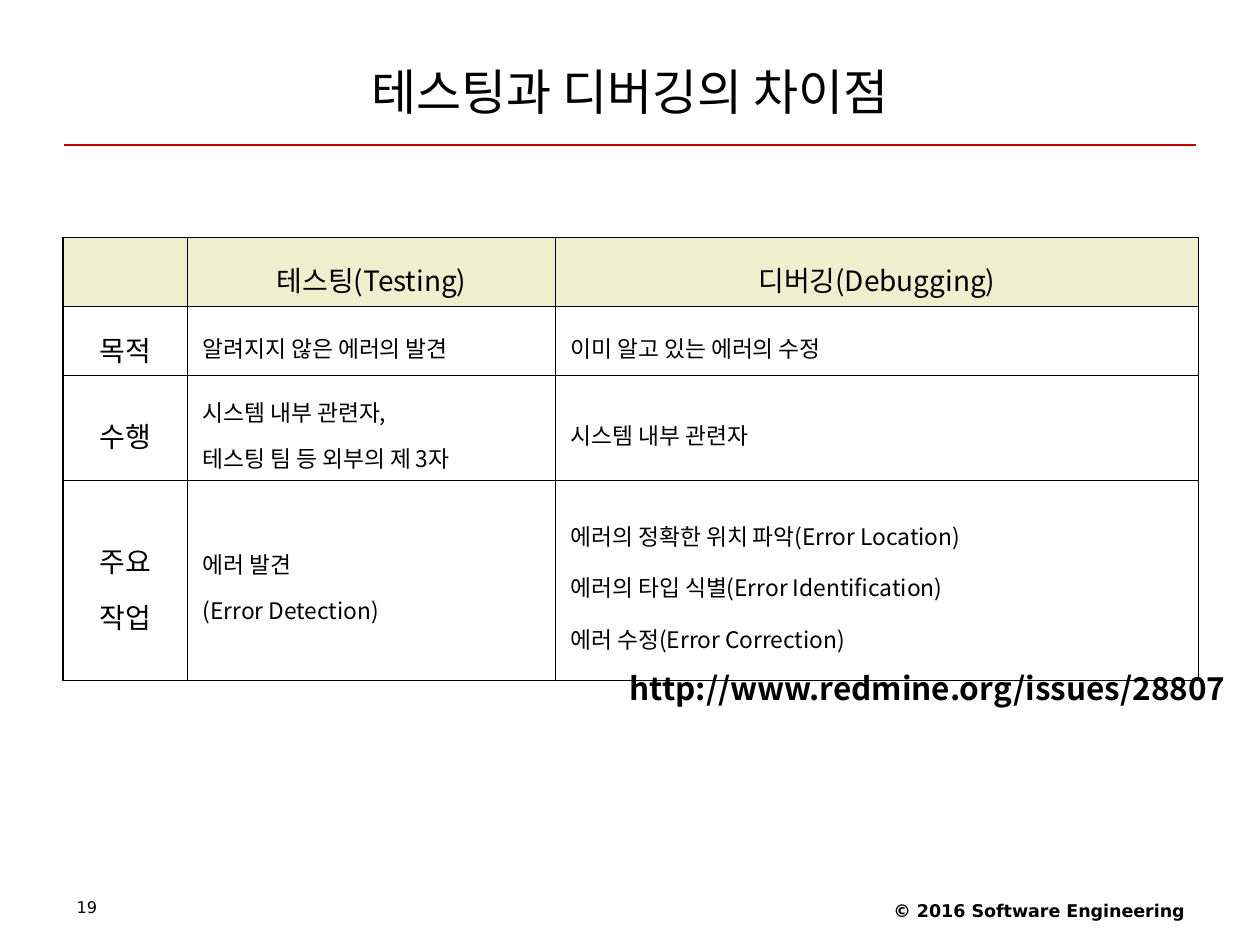
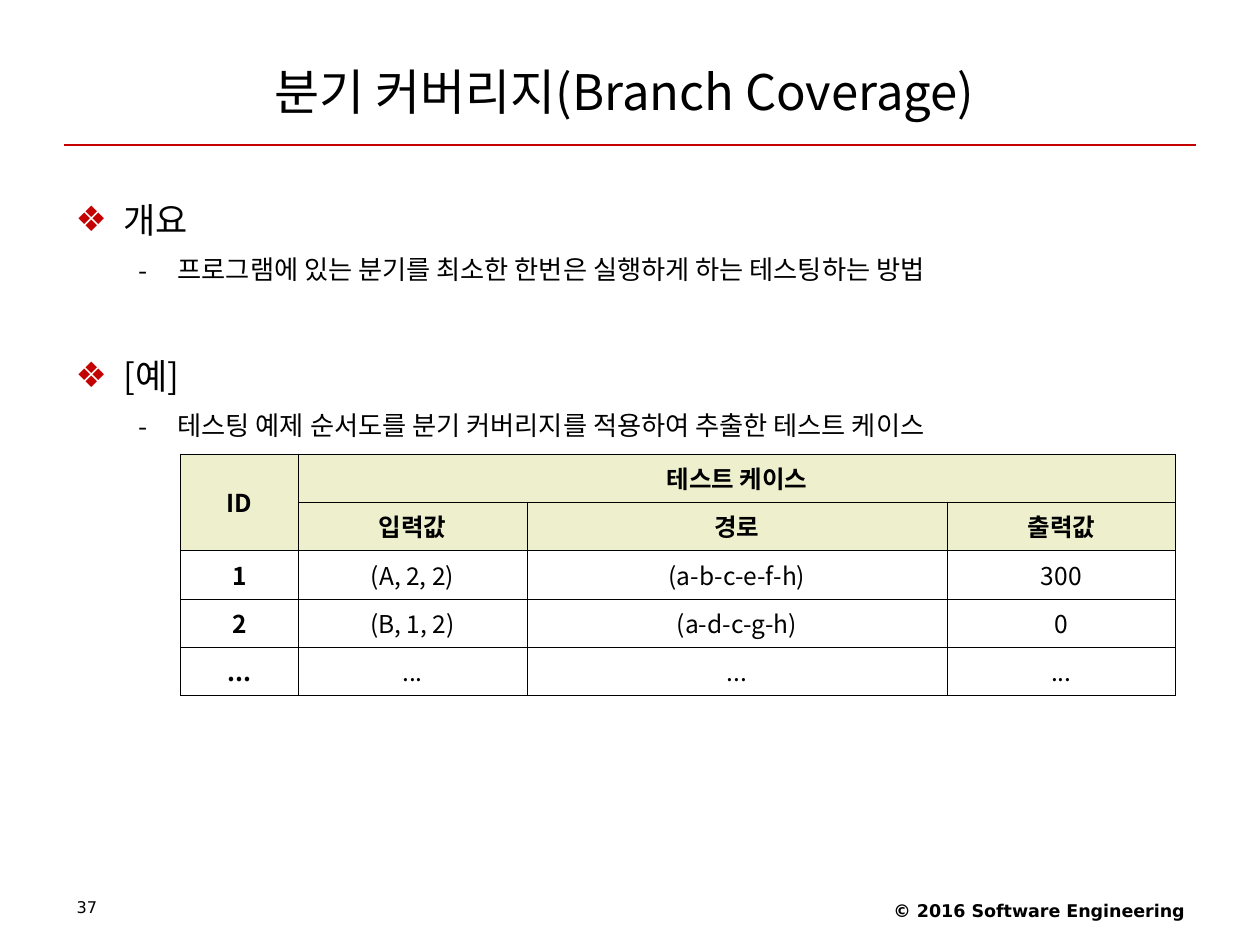
from copy import deepcopy

from lxml.etree import SubElement
from pptx import Presentation
from pptx.dml.color import RGBColor
from pptx.enum.shapes import MSO_CONNECTOR as Connector
from pptx.enum.text import MSO_ANCHOR as Anchor, MSO_AUTO_SIZE as AutoSize, PP_ALIGN as Align
from pptx.oxml import parse_xml
from pptx.oxml.ns import nsdecls, qn
from pptx.util import Inches, Pt

# Content: each table cell is a list of paragraphs
DIFF_TITLE = "테스팅과 디버깅의 차이점"
DIFF_ROWS = [
    [[], ["테스팅(Testing)"], ["디버깅(Debugging)"]],
    [["목적"], ["알려지지 않은 에러의 발견"], ["이미 알고 있는 에러의 수정"]],
    [["수행"], ["시스템 내부 관련자,\n테스팅 팀 등 외부의 제 3자"], ["시스템 내부 관련자"]],
    [["주요\n작업"], ["에러 발견\n(Error Detection)"],
     ["에러의 정확한 위치 파악(Error Location)",
      "에러의 타입 식별(Error Identification)",
      "에러 수정(Error Correction)"]],
]
ISSUE_URL = "http://www.redmine.org/issues/28807"

BRANCH_TITLE = "분기 커버리지(Branch Coverage) "
BRANCH_OUTLINE = [
    ("개요", "프로그램에 있는 분기를 최소한 한번은 실행하게 하는 테스팅하는 방법"),
    ("[예]", "테스팅 예제 순서도를 분기 커버리지를 적용하여 추출한 테스트 케이스"),
]
CASE_ROWS = [
    [["ID"], ["테스트 케이스"], [], []],
    [[], ["입력값"], ["경로"], ["출력값"]],
    [["1"], ["(A, 2, 2)"], ["(a-b-c-e-f-h)"], ["300"]],
    [["2"], ["(B, 1, 2)"], ["(a-d-c-g-h)"], ["0"]],
    [["..."]] * 4,
]
COPYRIGHT = "© 2016 Software Engineering"

# Shared style
BLACK = RGBColor(0x00, 0x00, 0x00)
RED = RGBColor(0xC4, 0x00, 0x00)
HEADER = RGBColor(0xEE, 0xEF, 0xCD)
BODY_FONT, FOOT_FONT = "Noto Sans CJK KR", "DejaVu Sans"
W, H, MARGIN = 10, 7.5, 0.5


def format_paragraph(p, size, font=BODY_FONT, bold=False, align=Align.LEFT,
                     spacing=1.0, before=0):
    p.alignment, p.line_spacing, p.space_before = align, spacing, Pt(before)
    for r in p.runs:
        r.font.size, r.font.name, r.font.bold = Pt(size), font, bold
        r.font.color.rgb = BLACK
        SubElement(r.font._element, qn("a:ea"), typeface=font)
    # Line breaks take the size of the text around them
    for br in p._p.findall(qn("a:br")):
        br.append(deepcopy(p.runs[0].font._element))


def add_text(s, text, box, size, wrap=True, **style):
    sp = s.shapes.add_textbox(*map(Inches, box))
    tf = sp.text_frame
    tf.word_wrap = wrap
    tf.text = text
    format_paragraph(tf.paragraphs[0], size, **style)


def set_bullet(p, char, color, font, left, hang):
    pPr = p._p.get_or_add_pPr()
    pPr.set("marL", str(Inches(left)))
    pPr.set("indent", str(-Inches(hang)))
    color_el = SubElement(pPr, qn("a:buClr"))
    SubElement(color_el, qn("a:srgbClr"), val=str(color))
    SubElement(pPr, qn("a:buFont"), typeface=font)
    SubElement(pPr, qn("a:buChar"), char=char)


def set_borders(cell, widths):
    tcPr = cell._tc.get_or_add_tcPr()
    for i, (side, width) in enumerate(zip("LRTB", widths)):
        tcPr.insert(i, parse_xml(
            f'<a:ln{side} {nsdecls("a")} w="{int(Pt(width))}"><a:solidFill>'
            f'<a:srgbClr val="{BLACK}"/></a:solidFill></a:ln{side}>'))


def add_grid(s, rows, left, top, cols, heights, header_rows, thin, thick, style):
    """Draw a table; left and bottom edges are thick, style(row, col) formats a cell."""
    nr, nc = len(rows), len(cols)
    frame = s.shapes.add_table(nr, nc, *map(Inches, (left, top, sum(cols), sum(heights))))
    table = frame.table
    for col, width in zip(table.columns, cols):
        col.width = Inches(width)
    for row, height in zip(table.rows, heights):
        row.height = Inches(height)
    for i, row in enumerate(rows):
        for j, lines in enumerate(row):
            cell = table.cell(i, j)
            cell.vertical_anchor = Anchor.MIDDLE
            cell.margin_left = cell.margin_right = Inches(0.12)
            if i < header_rows:
                cell.fill.solid()
                cell.fill.fore_color.rgb = HEADER
            else:
                cell.fill.background()
            set_borders(cell, [thick if j == 0 else thin, thin, thin,
                               thick if i == nr - 1 else thin])
            tf = cell.text_frame
            for k, line in enumerate(lines):
                p = tf.add_paragraph() if k else tf.paragraphs[0]
                p.text = line
                format_paragraph(p, before=3.3 if k else 0, **style(i, j))
    return table


def add_slide(prs, layout, title, number):
    s = prs.slides.add_slide(prs.slide_layouts[layout])
    # Title and the rule below it
    sp = s.shapes.title
    sp.left, sp.top, sp.width, sp.height = map(Inches, (MARGIN, 0.3, W - 2 * MARGIN, 0.85))
    tf = sp.text_frame
    tf.text = title
    tf.vertical_anchor, tf.auto_size = Anchor.MIDDLE, AutoSize.NONE
    format_paragraph(tf.paragraphs[0], 28, align=Align.CENTER)
    rule = s.shapes.add_connector(Connector.STRAIGHT, *map(Inches, (0.51, 1.15, W - 0.51, 1.15)))
    rule.line.color.rgb, rule.line.width = RED, Pt(0.75)
    SubElement(rule._element.spPr, qn("a:effectLst"))
    # Footer
    add_text(s, COPYRIGHT, (6.33, 7.09, 3.17, 0.29), 10, font=FOOT_FONT,
             bold=True, align=Align.RIGHT)
    add_text(s, str(number), (0.51, 7.09, 2.33, 0.28), 9.2, font=FOOT_FONT, spacing=0.9)
    return s


def diff_style(i, j):
    if i == 0 or j == 0:
        return dict(size=16, align=Align.CENTER, spacing=1.4)
    return dict(size=13, spacing=1.4)


def case_style(i, j):
    return dict(size=14, align=Align.CENTER, bold=i < 2 or j == 0)


def add_difference_slide(prs):
    s = add_slide(prs, 5, DIFF_TITLE, 19)
    add_grid(s, DIFF_ROWS, MARGIN, 1.88, [0.99, 2.92, 5.1], [0.55, 0.55, 0.83, 1.59],
             header_rows=1, thin=0.45, thick=1.08, style=diff_style)
    add_text(s, ISSUE_URL, (4.9, 5.26, 4.95, 0.4), 18, wrap=False, bold=True)


def add_branch_slide(prs):
    s = add_slide(prs, 1, BRANCH_TITLE, 37)
    # Outline of headings and details
    body = s.placeholders[1]
    body.left, body.top, body.width, body.height = map(
        Inches, (MARGIN, 1.39, W - 2 * MARGIN, 5.51))
    tf = body.text_frame
    tf.auto_size = AutoSize.NONE
    for k, (heading, detail) in enumerate(BRANCH_OUTLINE):
        p = tf.add_paragraph() if k else tf.paragraphs[0]
        p.text = heading
        set_bullet(p, "❖", RED, FOOT_FONT, 0.38, 0.38)
        format_paragraph(p, 20, spacing=1.4, before=30.5 if k else 0)
        p = tf.add_paragraph()
        p.text, p.level = detail, 1
        set_bullet(p, "-", BLACK, BODY_FONT, 0.81, 0.31)
        format_paragraph(p, 15, spacing=1.2, before=3.7)
    # Test cases
    n = len(CASE_ROWS)
    table = add_grid(s, CASE_ROWS, 1.43, 3.6, [0.94, 1.81, 3.34, 1.81], [1.92 / n] * n,
                     header_rows=2, thin=0.06, thick=0.06, style=case_style)
    table.cell(0, 0).merge(table.cell(1, 0))
    table.cell(0, 1).merge(table.cell(0, 3))


def main():
    prs = Presentation()
    prs.slide_width, prs.slide_height = Inches(W), Inches(H)
    add_difference_slide(prs)
    add_branch_slide(prs)
    prs.save("out.pptx")


if __name__ == "__main__":
    main()
